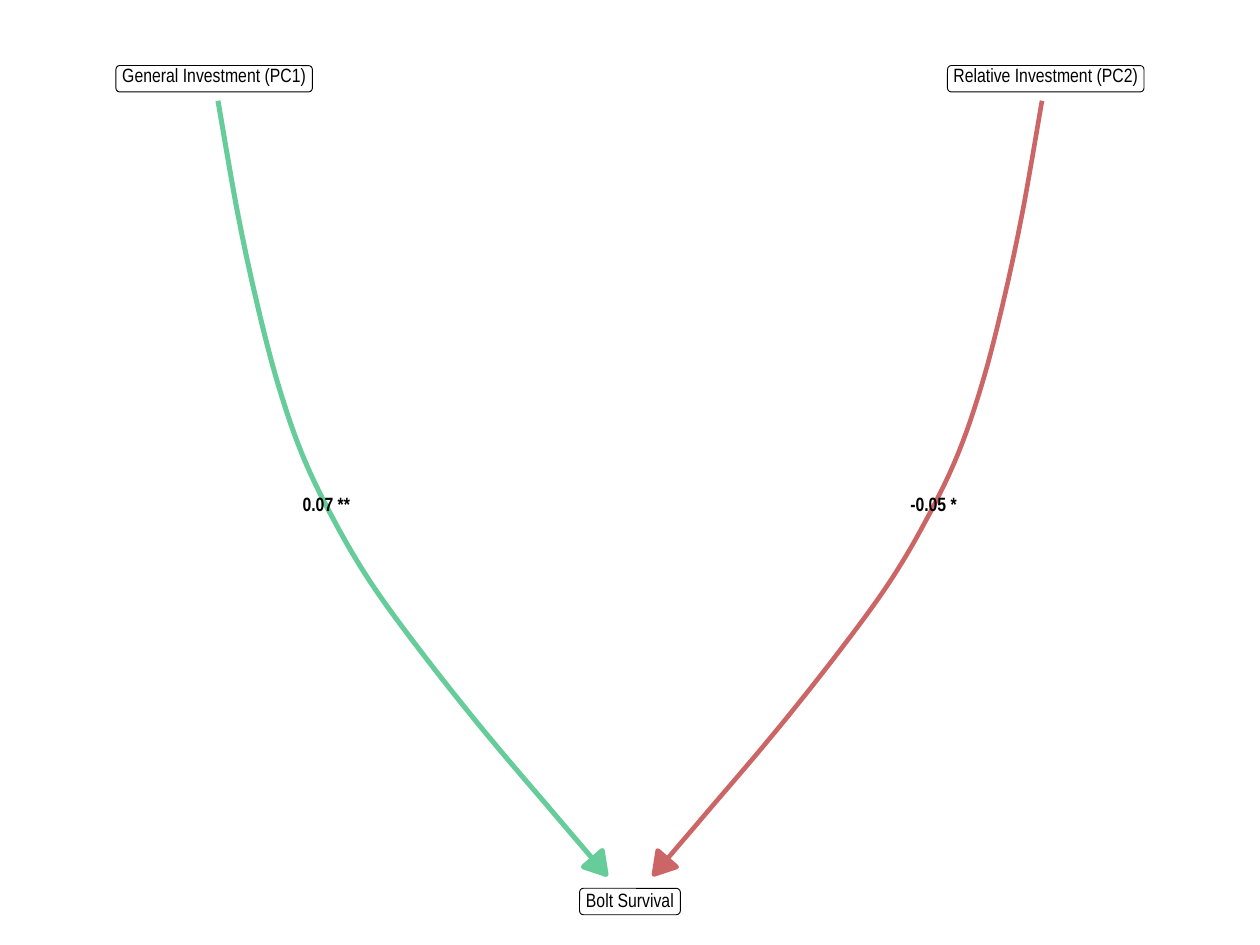
from lxml.etree import SubElement
from pptx import Presentation
from pptx.dml.color import RGBColor
from pptx.enum.shapes import MSO_SHAPE as Preset
from pptx.enum.text import MSO_ANCHOR as Anchor, PP_ALIGN as Align
from pptx.oxml.ns import qn
from pptx.util import Inches, Pt

GREEN = RGBColor(0x66, 0xCC, 0x99)
RED = RGBColor(0xCC, 0x66, 0x66)
BLACK = RGBColor(0, 0, 0)
WHITE = RGBColor(0xFF, 0xFF, 0xFF)
SLIDE_WIDTH = 10
STEPS = 10

# The left path in inches; the right path is its mirror image.
KNOTS = [
    (1.73, 0.8), (1.89, 1.71), (2.05, 2.45), (2.21, 3.06), (2.4, 3.61),
    (2.64, 4.11), (2.94, 4.62), (3.34, 5.17), (3.84, 5.8), (4.4, 6.46),
    (4.81, 6.94),
]
ARROWHEAD = [(4.63, 6.88), (4.81, 6.94), (4.78, 6.75)]

deck = Presentation()
deck.slide_width, deck.slide_height = Inches(SLIDE_WIDTH), Inches(7.5)
page = deck.slides.add_slide(deck.slide_layouts[6])


def add_outline(points, color, weight, filled):
    """Draw a closed filled outline, or an open path, with round joins."""
    corners = [(Inches(x), Inches(y)) for x, y in points]
    builder = page.shapes.build_freeform(*corners[0], scale=1.0)
    builder.add_line_segments(corners[1:], close=filled)
    outline = builder.convert_to_shape()
    outline.shadow.inherit = False
    if filled:
        outline.fill.solid()
        outline.fill.fore_color.rgb = color
    else:
        outline.fill.background()
    outline.line.color.rgb = color
    outline.line.width = Pt(weight)
    SubElement(outline.line._get_or_add_ln(), qn("a:round"))


def add_text(text, left, top, width, height, bold=False):
    """Place one centred line of label text."""
    box = page.shapes.add_textbox(
        Inches(left), Inches(top), Inches(width), Inches(height))
    frame = box.text_frame
    frame.word_wrap = False
    frame.vertical_anchor = Anchor.MIDDLE
    frame.margin_left = frame.margin_right = 0
    frame.margin_top = frame.margin_bottom = 0
    para = frame.paragraphs[0]
    para.alignment = Align.CENTER
    para.line_spacing = Pt(11)
    span = para.add_run()
    span.text = text
    span.font.name = "Arial Narrow"
    span.font.size = Pt(11)
    span.font.bold = bold
    span.font.color.rgb = BLACK


# Smooth Catmull-Rom curve through the knots
padded = [KNOTS[0], *KNOTS, KNOTS[-1]]
curve = [KNOTS[0]]
for before, start, end, after in zip(padded, padded[1:], padded[2:], padded[3:]):
    for step in range(1, STEPS + 1):
        t = step / STEPS
        curve.append(tuple(
            b + t * (c - a) / 2
            + t**2 * (2 * a - 5 * b + 4 * c - d) / 2
            + t**3 * (3 * b - a - 3 * c + d) / 2
            for a, b, c, d in zip(before, start, end, after)))

# Paths to the outcome
for color, weight, mirrored in [(GREEN, 2.86, False), (RED, 2.63, True)]:
    for points, filled in [(curve, False), (ARROWHEAD, True)]:
        if mirrored:
            points = [(SLIDE_WIDTH - x, y) for x, y in points]
        add_outline(points, color, weight, filled)

# Path coefficients
add_text("0.07 **", 2.39, 3.95, 0.4, 0.12, bold=True)
add_text("-0.05 *", 7.21, 3.95, 0.4, 0.12, bold=True)

# Variables: name, box left, top and width, text top and height
NODES = [
    ("General Investment (PC1)", 0.92, 0.52, 1.56, 0.54, 0.14),
    ("Relative Investment (PC2)", 7.52, 0.52, 1.56, 0.54, 0.14),
    ("Bolt Survival", 4.6, 7.05, 0.8, 7.1, 0.11),
]
for name, left, top, width, text_top, text_height in NODES:
    node = page.shapes.add_shape(
        Preset.ROUNDED_RECTANGLE,
        Inches(left), Inches(top), Inches(width), Inches(0.21))
    node.adjustments[0] = 0.15
    node.shadow.inherit = False
    node.fill.solid()
    node.fill.fore_color.rgb = WHITE
    node.line.color.rgb = BLACK
    node.line.width = Pt(0.53)
    add_text(name, left + 0.02, text_top, width - 0.04, text_height)

deck.save("out.pptx")
